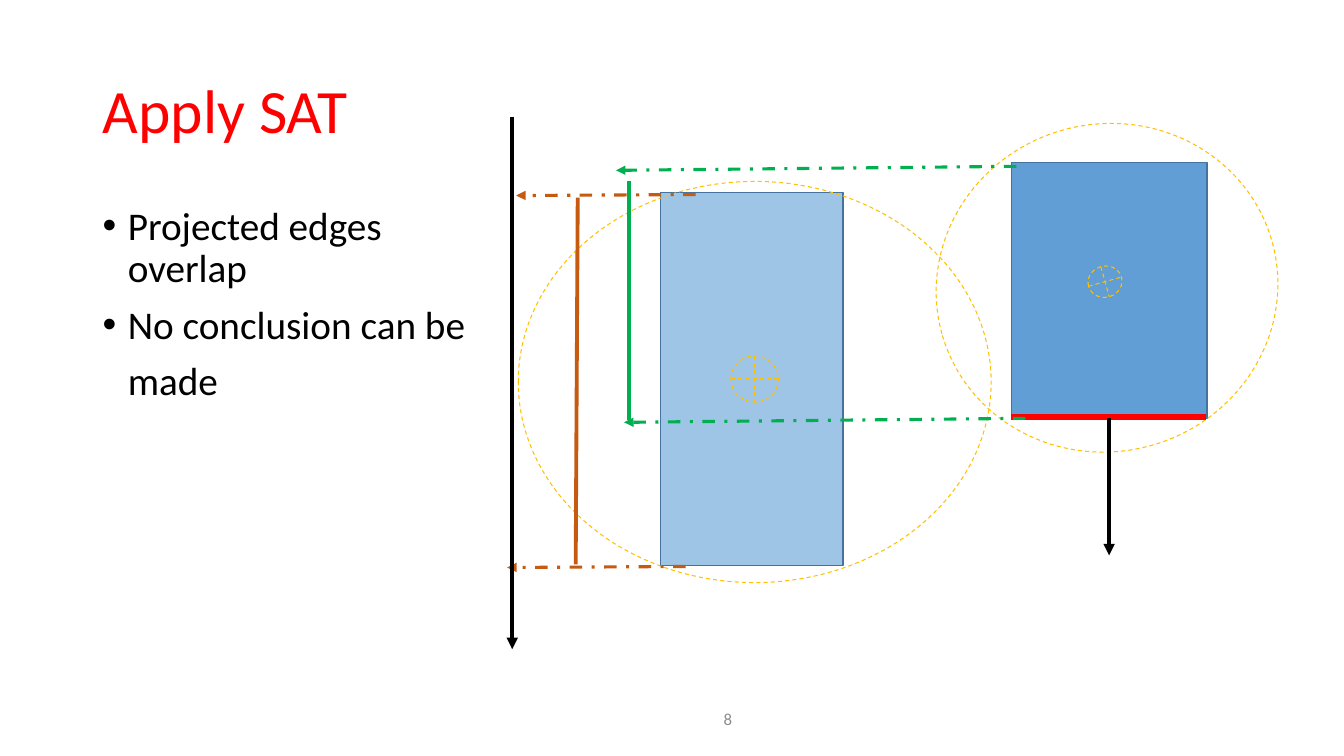
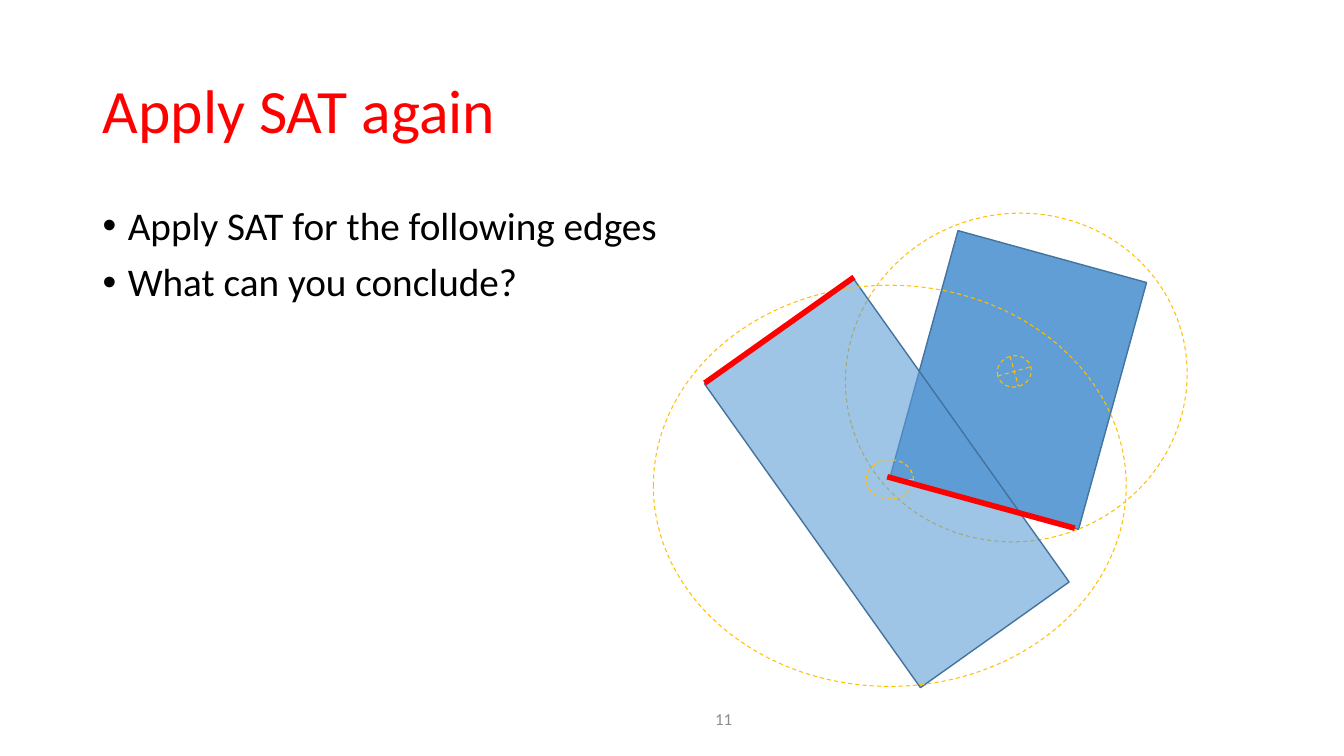
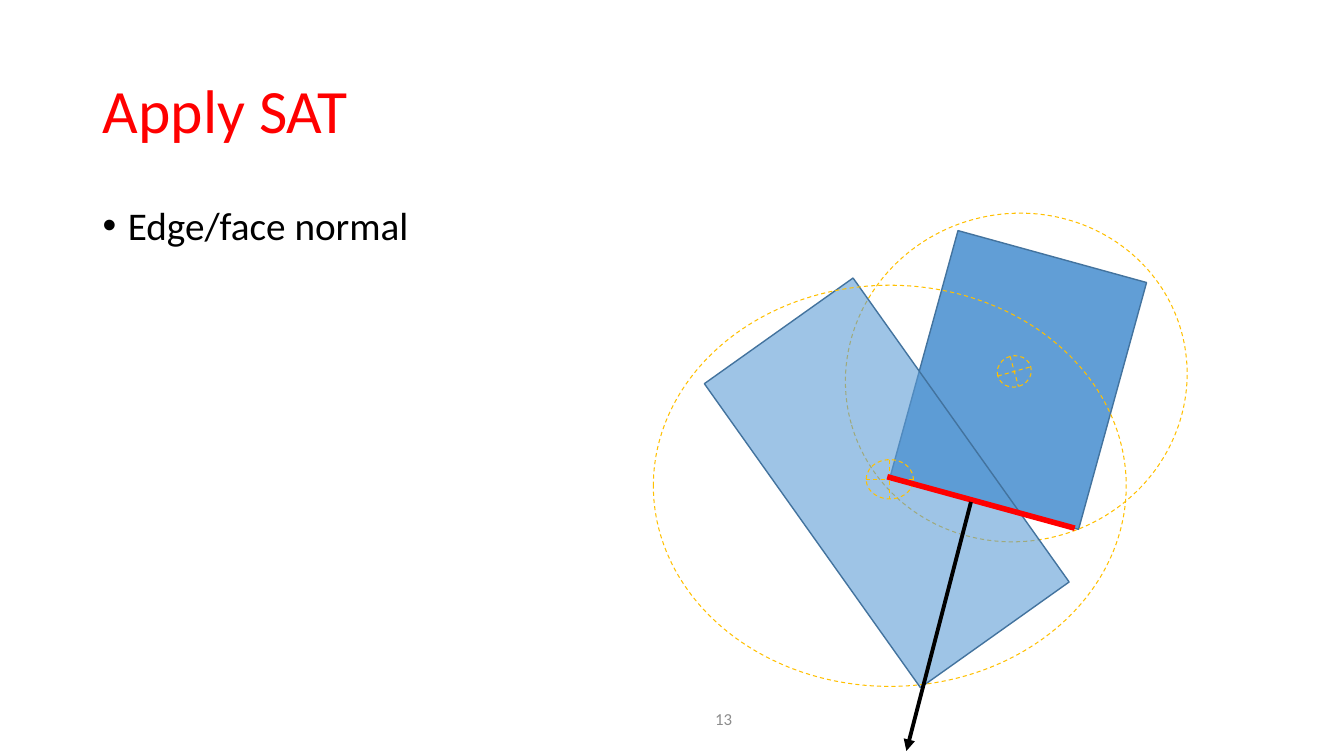
import pptx
import pptx.util
import pptx.oxml.ns
from pptx.dml.color import RGBColor
from pptx.enum.dml import MSO_LINE
from pptx.enum.shapes import MSO_CONNECTOR, MSO_SHAPE
from pptx.enum.text import MSO_ANCHOR, MSO_AUTO_SIZE, PP_ALIGN
from lxml import etree

BLUE = RGBColor(0x5B, 0x9B, 0xD5)
OUTLINE = RGBColor(0x43, 0x73, 0x9E)
GOLD = RGBColor(0xFF, 0xC0, 0x00)
RED = RGBColor(0xFF, 0x00, 0x00)
GREEN = RGBColor(0x00, 0xB0, 0x50)
ORANGE = RGBColor(0xC5, 0x5A, 0x11)
BLACK = RGBColor(0x00, 0x00, 0x00)
GREY = RGBColor(0x8C, 0x8C, 0x8C)

TITLE_AT = (0.92, 0.4, 11.5, 1.45)
BODY_AT = (0.92, 2, 11.5, 4.76)
NUMBER_AT = (6.17, 6.93, 1.19, 0.4)

TITLE_FONT = {"name": "Calibri", "size": pptx.util.Pt(44), "color": RED}
BODY_FONT = {"name": "Calibri", "size": pptx.util.Pt(28), "color": BLACK}
NUMBER_FONT = {"name": "Calibri", "size": pptx.util.Pt(12), "color": GREY}

TILT = 344.4
BODIES = {
    "dark": {"size": (1.94, 2.54), "alpha": 96, "bound": (-0.75, -0.38, 3.4, 3.25),
             "marker": (0.76, 1.03, 0.34), "tilt": TILT},
    "light": {"size": (1.81, 3.7), "alpha": 59, "bound": (-1.41, -0.11, 4.69, 3.98),
              "marker": (0.7, 1.62, 0.47), "tilt": 0},
}

LINES = {
    "edge": {"width": 4},
    "span": {"width": 2.75},
    "axis": {"width": 2.75, "arrow": True},
    "projection": {"width": 2.25, "dash": MSO_LINE.DASH_DOT, "arrow": True},
}

TILTED_BODIES = [("dark", 9.13, 2.5, 15.4, 0.31), ("light", 7.89, 2.94, 324.6, 0.39)]
TILTED_EDGE = ("edge", RED, (8.8, 4.73), (10.66, 5.24))

SLIDES = [
    {
        "title": "Apply SAT", "number": "8",
        "points": [("•", "Projected edges\noverlap"), ("•", "No conclusion can be"), ("", "made")],
        "bodies": [("dark", 10.03, 1.61, 0, 0.31), ("light", 6.55, 1.91, 0, 0.46)],
        "lines": [
            ("edge", RED, (11.96, 4.14), (10.03, 4.14)),
            ("axis", BLACK, "dark", (11, 5.51)),
            ("span", ORANGE, (5.71, 5.6), (5.73, 1.96)),
            ("span", GREEN, (6.24, 4.17), (6.24, 1.8)),
            ("projection", GREEN, (10.08, 1.65), (6.11, 1.69)),
            ("projection", ORANGE, (6.8, 5.62), (5.03, 5.63)),
            ("axis", BLACK, (5.08, 1.16), (5.08, 6.44)),
            ("projection", ORANGE, (6.9, 1.93), (5.12, 1.94)),
            ("projection", GREEN, (10.17, 4.15), (6.19, 4.19)),
        ],
    },
    {
        "title": "Apply SAT again", "number": "11",
        "points": [("•", "Apply SAT for the following edges"), ("•", "What can you conclude?")],
        "bodies": TILTED_BODIES,
        "lines": [("edge", RED, (6.99, 3.8), (8.47, 2.75)), TILTED_EDGE],
    },
    {
        "title": "Apply SAT", "number": "13",
        "points": [("•", "Edge/face normal")],
        "bodies": TILTED_BODIES,
        "lines": [TILTED_EDGE, ("axis", BLACK, (9.63, 4.98), (8.99, 7.45))],
    },
]


def inches(values):
    return [pptx.util.Inches(v) for v in values]


def sub(parent, tag, **attributes):
    return etree.SubElement(parent, pptx.oxml.ns.qn(tag), attributes)


def set_font(p, values):
    for key, value in values.items():
        if key == "color":
            p.font.color.rgb = value
        else:
            setattr(p.font, key, value)


def set_frame(tf, anchor):
    for key, value in {"word_wrap": True, "auto_size": MSO_AUTO_SIZE.NONE,
                       "vertical_anchor": anchor}.items():
        setattr(tf, key, value)


def add_title(s, text):
    sp = s.shapes.title
    for key, value in zip(("left", "top", "width", "height"), inches(TITLE_AT)):
        setattr(sp, key, value)
    set_frame(sp.text_frame, MSO_ANCHOR.MIDDLE)
    p = sp.text_frame.paragraphs[0]
    p.text, p.alignment, p.line_spacing = text, PP_ALIGN.LEFT, 0.9
    set_font(p, TITLE_FONT)


def add_points(s, points):
    tf = s.shapes.add_textbox(*inches(BODY_AT)).text_frame
    set_frame(tf, MSO_ANCHOR.TOP)
    for i, (bullet, text) in enumerate(points):
        p = tf.add_paragraph() if i else tf.paragraphs[0]
        p.text, p.line_spacing = text, 0.9
        p.space_before = pptx.util.Pt(10 if i else 0)
        pPr = p._p.get_or_add_pPr()
        indent = pptx.util.Inches(0.25)
        pPr.set("marL", str(indent))
        if bullet:
            pPr.set("indent", str(-indent))
            sub(pPr, "a:buFont", typeface="Arial")
            sub(pPr, "a:buChar", char=bullet)
        set_font(p, BODY_FONT)
        for r in p.runs:
            set_font(r, BODY_FONT)


def add_number(s, text):
    tf = s.shapes.add_textbox(*inches(NUMBER_AT)).text_frame
    set_frame(tf, MSO_ANCHOR.MIDDLE)
    p = tf.paragraphs[0]
    p.text, p.alignment = text, PP_ALIGN.RIGHT
    set_font(p, NUMBER_FONT)


def add_outline(s, kind, at, rotation, color, width, dash=None):
    sp = s.shapes.add_shape(kind, *inches(at))
    sp.shadow.inherit = False
    sp.rotation = rotation
    sp.fill.background()
    sp.line.color.rgb = color
    sp.line.width = pptx.util.Pt(width)
    sp.line.dash_style = dash
    return sp


def add_body(s, name, left, top, rotation, marker_height):
    body = BODIES[name]
    box = add_outline(s, MSO_SHAPE.RECTANGLE, (left, top, *body["size"]), rotation, OUTLINE, 1)
    box.fill.solid()
    box.fill.fore_color.rgb = BLUE
    color = box.element.spPr.find(".//" + pptx.oxml.ns.qn("a:srgbClr"))
    sub(color, "a:alpha", val=str(body["alpha"] * 1000))
    for kind, (dx, dy, *size) in ((MSO_SHAPE.OVAL, body["bound"]),
                                  (MSO_SHAPE.FLOWCHART_OR, (*body["marker"], marker_height))):
        add_outline(s, kind, (left + dx, top + dy, *size), body["tilt"], GOLD, 0.75, MSO_LINE.DASH)
    return box


def add_line(s, boxes, style, color, start, end):
    look = LINES[style]
    joined = boxes.get(start) if isinstance(start, str) else None
    c = s.shapes.add_connector(MSO_CONNECTOR.STRAIGHT, *inches((*(end if joined else start), *end)))
    if joined:
        c.begin_connect(joined, 2)
    c.line.color.rgb = color
    c.line.width = pptx.util.Pt(look["width"])
    c.line.dash_style = look.get("dash")
    spPr = c.element.spPr
    if look.get("arrow"):
        sub(spPr.find(pptx.oxml.ns.qn("a:ln")), "a:tailEnd", type="triangle")
    sub(spPr, "a:effectLst")


def main():
    prs = pptx.Presentation()
    prs.slide_width, prs.slide_height = inches((13.33, 7.5))
    for content in SLIDES:
        s = prs.slides.add_slide(prs.slide_layouts[5])
        add_number(s, content["number"])
        add_title(s, content["title"])
        add_points(s, content["points"])
        boxes = {body[0]: add_body(s, *body) for body in content["bodies"]}
        for line in content["lines"]:
            add_line(s, boxes, *line)
    prs.save("out.pptx")


if __name__ == "__main__":
    main()
